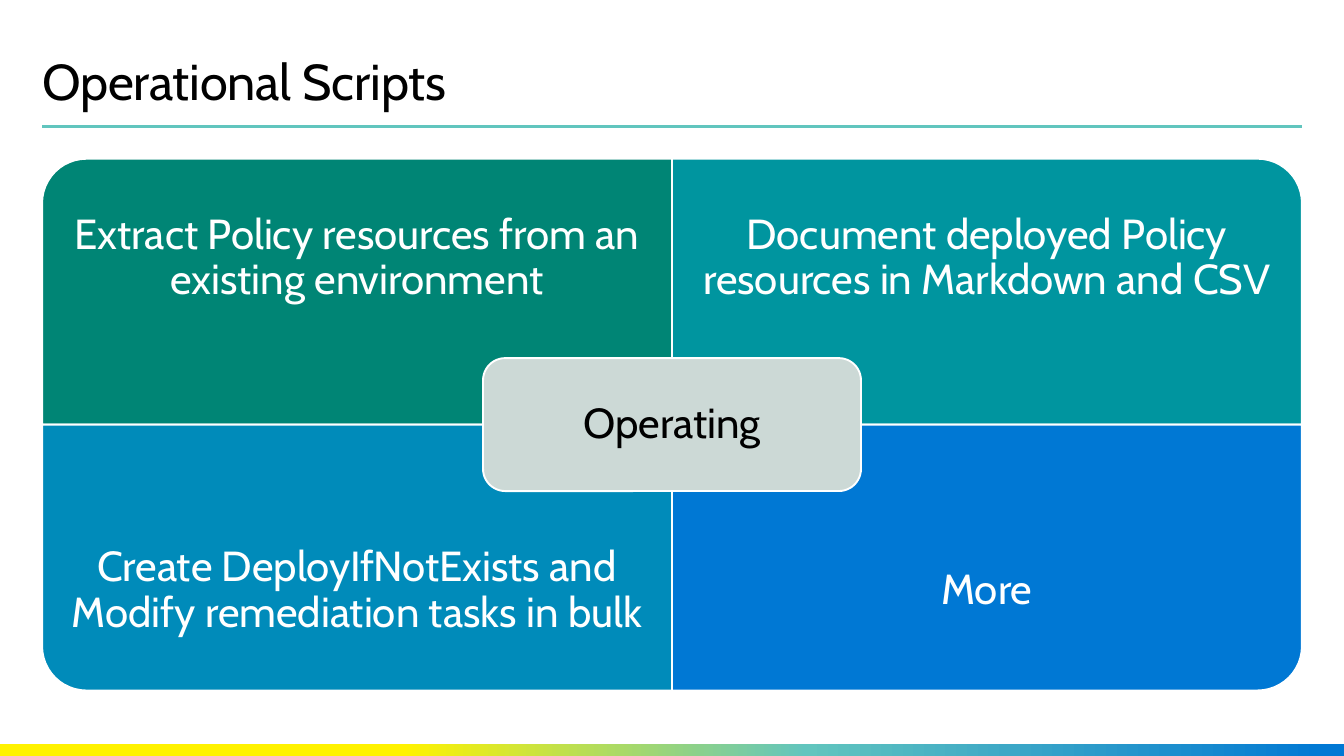
from copy import deepcopy

from lxml import etree
from pptx import Presentation
from pptx import util as u
from pptx.dml.color import RGBColor
from pptx.enum import shapes, text
from pptx.oxml.ns import qn

COLORS = {
    "black": "000000",
    "white": "FFFFFF",
    "green": "008575",
    "teal": "00959F",
    "cyan": "008BBA",
    "blue": "0078D4",
    "grey": "CCD9D6",
    "rule": "61C5BE",
    "yellow": "FFF200",
}
SLIDE_WIDTH, SLIDE_HEIGHT = 33.87, 19.05
LEFT, TOP = 1.06, 4.0
WIDTH = 31.75
CELL_WIDTH, CELL_HEIGHT = WIDTH / 2, 6.7


def rgb(name):
    return RGBColor.from_string(COLORS[name])


class SlideBuilder:
    """Holds the text style and the current slide; lengths are centimetres."""

    font = "Cabin"
    body_size = 30
    outline = 1.35

    def __init__(self, slide):
        self.slide = slide

    def box(self, kind, left, top, width, height, fill, rotation=0):
        shape = self.slide.shapes.add_shape(
            kind, u.Cm(left), u.Cm(top), u.Cm(width), u.Cm(height))
        shape.shadow.inherit = False
        shape.rotation = rotation
        shape.fill.solid()
        shape.fill.fore_color.rgb = rgb(fill)
        shape.line.color.rgb = rgb("white")
        shape.line.width = u.Pt(self.outline)
        return shape

    def set_text(self, shape, words, color, size=body_size, inset=0.58,
                 align=text.PP_ALIGN.CENTER, anchor=text.MSO_ANCHOR.MIDDLE,
                 line_spacing=0.9):
        frame = shape.text_frame
        frame.word_wrap = True
        frame.vertical_anchor = anchor
        frame.margin_left = frame.margin_right = u.Cm(inset)
        frame.margin_top = frame.margin_bottom = u.Cm(inset)
        paragraph = frame.paragraphs[0]
        paragraph.alignment = align
        paragraph.line_spacing = line_spacing
        run = paragraph.add_run()
        run.text = words
        run.font.name = self.font
        run.font.size = u.Pt(size)
        run.font.color.rgb = rgb(color)
        return run

    def label(self, left, top, width, height, words, color, **style):
        shape = self.slide.shapes.add_textbox(
            u.Cm(left), u.Cm(top), u.Cm(width), u.Cm(height))
        return self.set_text(shape, words, color, **style)

    def rule(self, left, right, y, color, width):
        connector = self.slide.shapes.add_connector(
            shapes.MSO_CONNECTOR.STRAIGHT,
            u.Cm(left), u.Cm(y), u.Cm(right), u.Cm(y))
        connector.line.color.rgb = rgb(color)
        connector.line.width = u.Pt(width)
        etree.SubElement(connector._element.spPr, qn("a:effectLst"))

    def gradient_band(self, top, height, stops):
        band = self.box(shapes.MSO_SHAPE.RECTANGLE, 0, top, SLIDE_WIDTH, height, "rule")
        band.line.fill.background()
        band.fill.gradient()
        band.fill.gradient_angle = 0
        # The default gradient has two stops, so add the missing ones
        stop_list = band._element.spPr.find(".//" + qn("a:gsLst"))
        while len(stop_list) < len(stops):
            stop_list.append(deepcopy(stop_list[0]))
        for stop, (position, color) in zip(band.fill.gradient_stops, stops):
            stop.position = position
            stop.color.rgb = rgb(color)

    def quadrant(self, column, row, rotation, fill, words):
        left = LEFT + column * CELL_WIDTH
        top = TOP + row * CELL_HEIGHT
        width, height = CELL_WIDTH, CELL_HEIGHT
        if rotation % 180:  # a quarter turn swaps the sides around the centre
            width, height = height, width
        self.box(shapes.MSO_SHAPE.ROUND_1_RECTANGLE,
                 left + (CELL_WIDTH - width) / 2, top + (CELL_HEIGHT - height) / 2,
                 width, height, fill, rotation)
        # The text keeps clear of the quarter next to the centre box
        self.label(left, top + row * CELL_HEIGHT / 4, CELL_WIDTH,
                   CELL_HEIGHT * 3 / 4, words, "white")


def main():
    presentation = Presentation()
    presentation.slide_width = u.Cm(SLIDE_WIDTH)
    presentation.slide_height = u.Cm(SLIDE_HEIGHT)
    builder = SlideBuilder(presentation.slides.add_slide(presentation.slide_layouts[6]))

    # Rule and bottom band
    builder.rule(LEFT, LEFT + WIDTH, 3.18, "rule", 2)
    builder.gradient_band(18.74, 0.31, [(0.3, "yellow"), (0.6, "rule"), (0.99, "blue")])

    # Title
    title = builder.label(LEFT, 1.27, WIDTH, 1.55, "Operational Scripts", "black",
                          size=36, inset=0, align=text.PP_ALIGN.LEFT,
                          anchor=text.MSO_ANCHOR.TOP, line_spacing=1.0)
    title.font._element.set("spc", "-10")

    # Quadrants
    quadrants = [
        (0, 0, 270, "green", "Extract Policy resources from an existing environment"),
        (1, 0, 0, "teal", "Document deployed Policy resources in Markdown and CSV"),
        (0, 1, 180, "cyan", "Create DeployIfNotExists and Modify remediation tasks in bulk"),
        (1, 1, 90, "blue", "More"),
    ]
    for quadrant in quadrants:
        builder.quadrant(*quadrant)

    # Centre box
    width, height = CELL_WIDTH * 0.6, CELL_HEIGHT / 2
    centre = builder.box(shapes.MSO_SHAPE.ROUNDED_RECTANGLE,
                         LEFT + CELL_WIDTH - width / 2, TOP + CELL_HEIGHT - height / 2,
                         width, height, "grey")
    builder.set_text(centre, "Operating", "black", inset=0.3)

    presentation.save("out.pptx")


if __name__ == "__main__":
    main()
